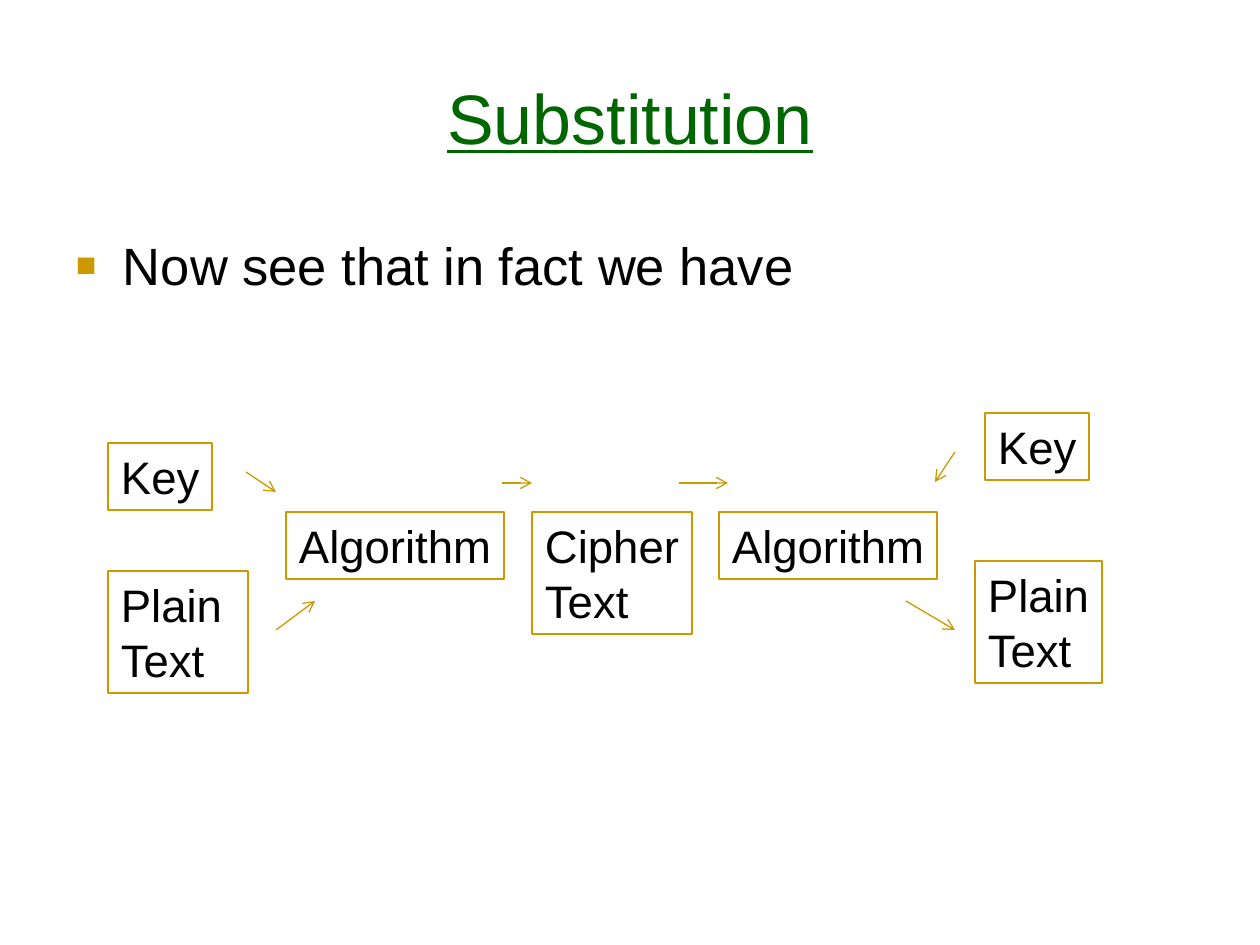
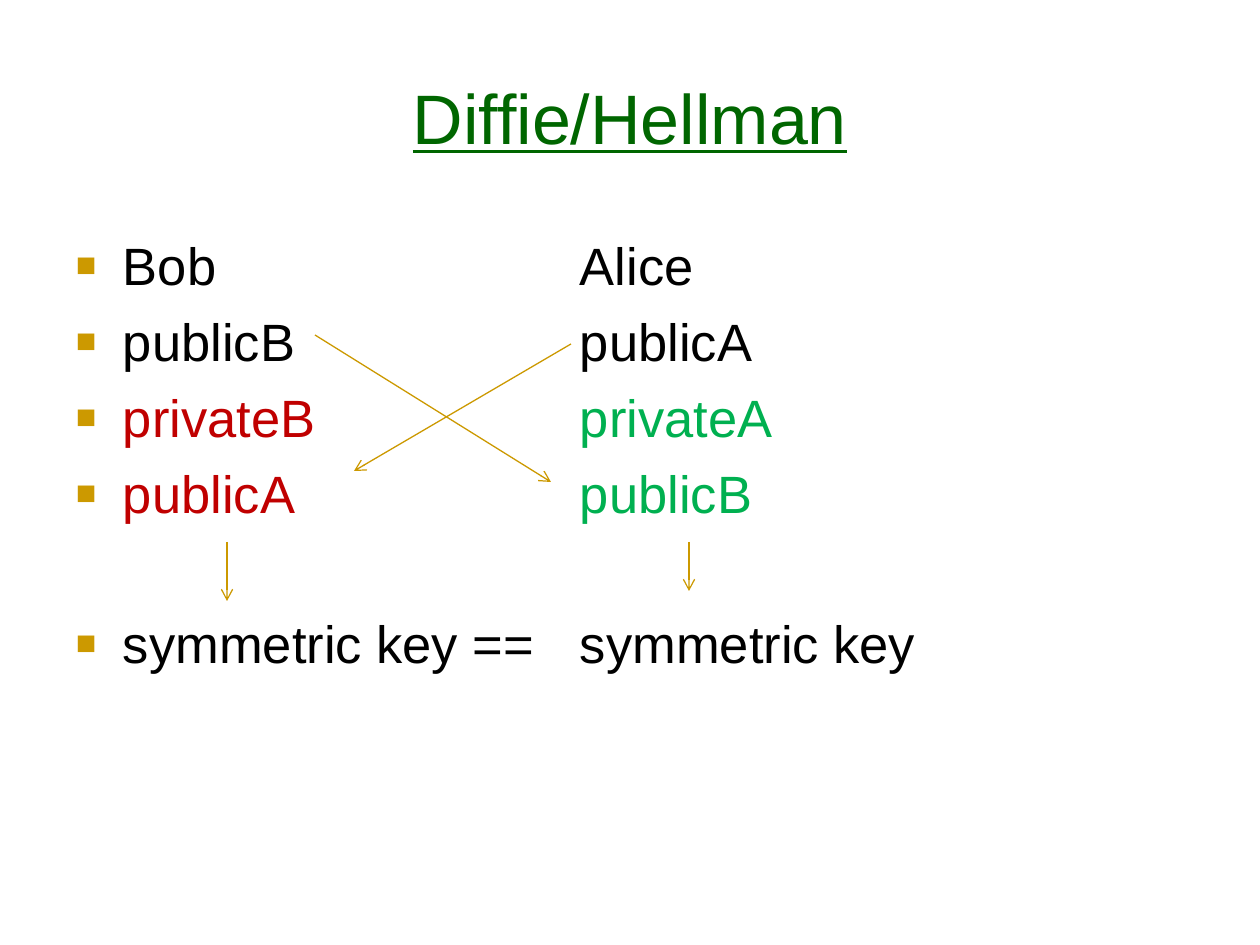
from lxml.etree import SubElement
from pptx import Presentation
from pptx.dml.color import RGBColor
from pptx.enum.shapes import MSO_CONNECTOR as Connector, MSO_SHAPE as Shape
from pptx.enum.text import MSO_ANCHOR as Anchor, MSO_AUTO_SIZE as AutoSize, PP_ALIGN as Align
from pptx.oxml.ns import qn
from pptx.util import Pt

# Shared scale and style
EMU_PER_PX = 914400 / 126
FONT = "Arial"
GREEN, GOLD, BLACK = "006600", "CC9900", "000000"
BOB_RED, ALICE_GREEN = "C00000", "00B050"
LINE_WIDTH = 0.75
BOX_HEIGHT, BOX_EXTRA_LINE = 67, 55
ITEM_GAP, KEY_GAP = 7.5, 49.5
HANGING = 47
ALICE_TAB = 504


def px(length):
    return round(length * EMU_PER_PX)


def rgb(value):
    return RGBColor.from_string(value)


def place(shape, left, top, width, height):
    shape.left, shape.top = px(left), px(top)
    shape.width, shape.height = px(width), px(height)


def set_insets(frame, left, top, right, bottom):
    frame.margin_left, frame.margin_top = px(left), px(top)
    frame.margin_right, frame.margin_bottom = px(right), px(bottom)


def add_run(paragraph, text, size, color, underline=None):
    run = paragraph.add_run()
    run.text = text
    font = run.font
    font.name, font.size, font.underline = FONT, Pt(size), underline
    font.color.rgb = rgb(color)


def next_paragraph(frame, index):
    return frame.add_paragraph() if index else frame.paragraphs[0]


def add_titled_slide(deck, heading):
    slide = deck.slides.add_slide(deck.slide_layouts[1])
    title = slide.shapes.title
    place(title, 63, 74, 1134, 84)
    frame = title.text_frame
    frame.vertical_anchor = Anchor.MIDDLE
    frame.auto_size = AutoSize.NONE
    set_insets(frame, 0, 0, 0, 0)
    frame.paragraphs[0].alignment = Align.CENTER
    add_run(frame.paragraphs[0], heading, 40, GREEN, underline=True)
    return slide


def add_bullet(paragraph):
    """Gold square with a hanging indent and a stop for the second column."""
    props = paragraph._p.get_or_add_pPr()
    props.set("marL", str(px(HANGING)))
    props.set("indent", str(-px(HANGING)))
    SubElement(SubElement(props, qn("a:buClr")), qn("a:srgbClr"), val=GOLD)
    SubElement(props, qn("a:buSzPct"), val="65000")
    SubElement(props, qn("a:buFont"), typeface=FONT)
    SubElement(props, qn("a:buChar"), char="■")
    tabs = SubElement(props, qn("a:tabLst"))
    SubElement(tabs, qn("a:tab"), pos=str(px(ALICE_TAB)), algn="l")


def fill_body(slide, height, items):
    """Each item is (space before, [(text, colour), ...])."""
    body = slide.placeholders[1]
    place(body, 63, 220, 1134, height)
    frame = body.text_frame
    frame.auto_size = AutoSize.NONE
    set_insets(frame, 13, 13, 13, 6)
    for index, (gap, runs) in enumerate(items):
        paragraph = next_paragraph(frame, index)
        add_bullet(paragraph)
        paragraph.space_before = Pt(gap)
        for text, color in runs:
            add_run(paragraph, text, 30, color)


def add_box(slide, left, top, width, *lines):
    height = BOX_HEIGHT + BOX_EXTRA_LINE * (len(lines) - 1)
    box = slide.shapes.add_shape(Shape.RECTANGLE, px(left), px(top), px(width), px(height))
    box.shadow.inherit = False
    box.fill.background()
    box.line.color.rgb = rgb(GOLD)
    box.line.width = Pt(LINE_WIDTH)
    frame = box.text_frame
    frame.word_wrap = True
    frame.vertical_anchor = Anchor.TOP
    set_insets(frame, 13, 6, 0, 6)
    for index, text in enumerate(lines):
        paragraph = next_paragraph(frame, index)
        paragraph.alignment = Align.LEFT
        add_run(paragraph, text, 26, BLACK)


def add_arrow(slide, x1, y1, x2, y2):
    arrow = slide.shapes.add_connector(Connector.STRAIGHT, px(x1), px(y1), px(x2), px(y2))
    arrow.line.color.rgb = rgb(GOLD)
    arrow.line.width = Pt(LINE_WIDTH)
    SubElement(arrow.line._get_or_add_ln(), qn("a:tailEnd"), type="arrow")
    SubElement(arrow._element.spPr, qn("a:effectLst"))


def build_substitution(deck):
    slide = add_titled_slide(deck, "Substitution")
    fill_body(slide, 105, [(0, [("Now see that in fact we have", BLACK)])])

    # Encryption on the left, decryption on the right
    add_box(slide, 108, 571, 140, "Plain", "Text")
    add_box(slide, 108, 443, 104, "Key")
    add_box(slide, 286, 512, 218, "Algorithm")
    add_box(slide, 532, 512, 160, "Cipher", "Text")
    add_box(slide, 975, 561, 127, "Plain", "Text")
    add_box(slide, 719, 512, 218, "Algorithm")
    add_box(slide, 985, 413, 104, "Key")

    # Flow from the inputs to the recovered text
    for ends in [
        (246, 472, 276, 492),
        (276, 630, 315, 601),
        (502, 483, 532, 483),
        (679, 483, 728, 483),
        (955, 452, 935, 482),
        (906, 601, 955, 630),
    ]:
        add_arrow(slide, *ends)


def build_diffie_hellman(deck):
    slide = add_titled_slide(deck, "Diffie/Hellman")
    fill_body(slide, 624, [
        (0, [("Bob\tAlice", BLACK)]),
        (ITEM_GAP, [("publicB\tpublicA", BLACK)]),
        (ITEM_GAP, [("privateB\t", BOB_RED), ("privateA", ALICE_GREEN)]),
        (ITEM_GAP, [("publicA\t", BOB_RED), ("publicB", ALICE_GREEN)]),
        (KEY_GAP, [("symmetric key ==\tsymmetric key", BLACK)]),
    ])

    # Exchange of the public keys, then derivation of the shared key
    for ends in [
        (571, 344, 354, 471),
        (315, 335, 551, 482),
        (227, 542, 227, 601),
        (689, 542, 689, 591),
    ]:
        add_arrow(slide, *ends)


def main():
    deck = Presentation()
    deck.slide_width, deck.slide_height = px(1260), px(945)
    build_substitution(deck)
    build_diffie_hellman(deck)
    deck.save("out.pptx")


if __name__ == "__main__":
    main()
